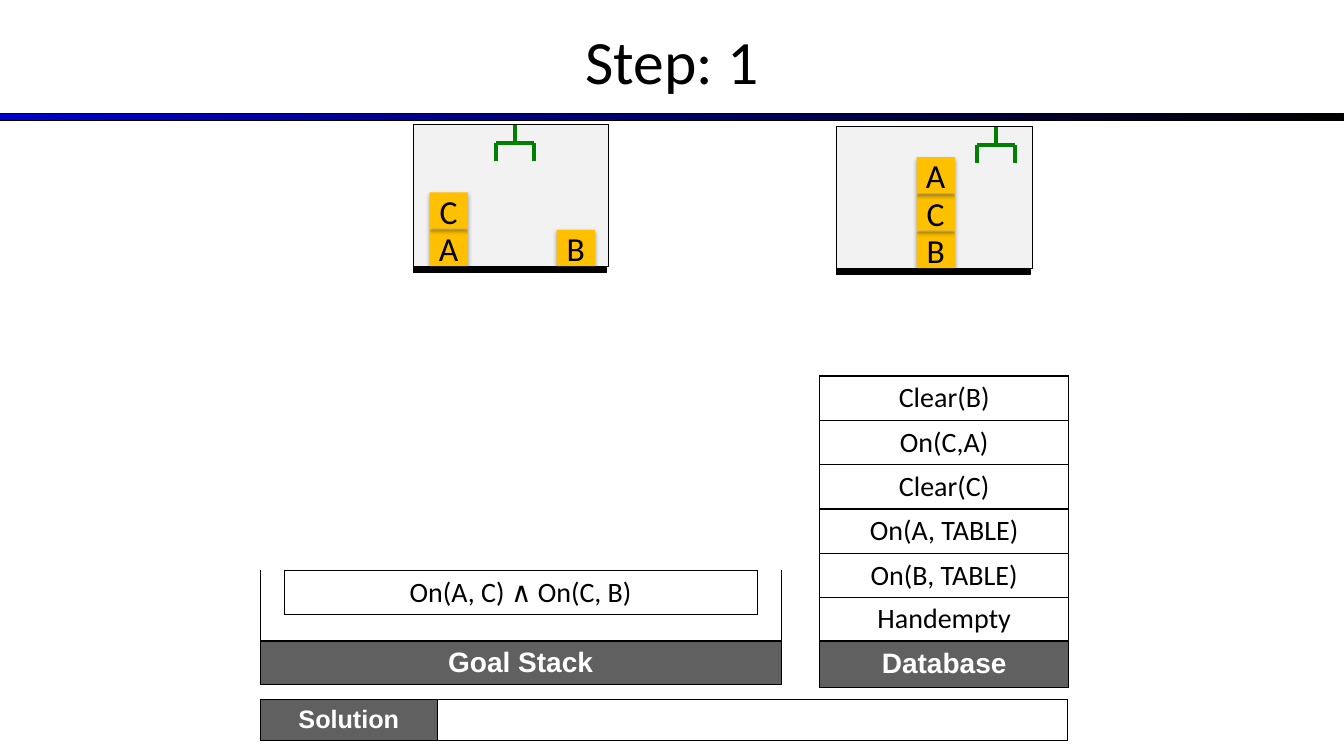
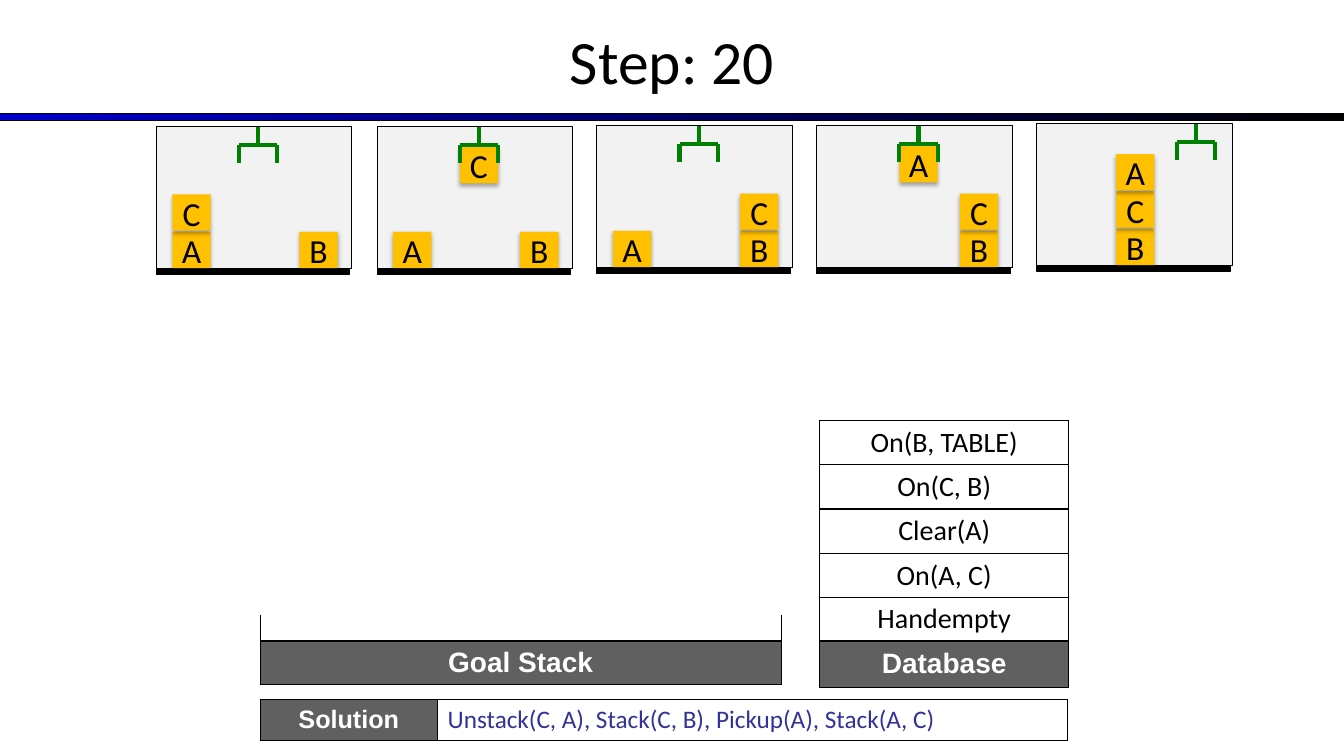
from dataclasses import dataclass

from lxml import etree
from pptx import Presentation
from pptx.dml.color import RGBColor
from pptx.enum.shapes import MSO_CONNECTOR, MSO_SHAPE
from pptx.enum.text import MSO_ANCHOR, PP_ALIGN
from pptx.oxml.ns import qn
from pptx.util import Inches, Pt

RECTANGLE = MSO_SHAPE.RECTANGLE
STRAIGHT = MSO_CONNECTOR.STRAIGHT
MIDDLE = MSO_ANCHOR.MIDDLE
CENTER, LEFT = PP_ALIGN.CENTER, PP_ALIGN.LEFT

BLACK = RGBColor(0x00, 0x00, 0x00)
WHITE = RGBColor(0xFF, 0xFF, 0xFF)
BAND_BLUE = RGBColor(0x00, 0x00, 0xCC)
HEADER_GREY = RGBColor(0x60, 0x60, 0x60)
SCENE_GREY = RGBColor(0xF2, 0xF2, 0xF2)
BLOCK_AMBER = RGBColor(0xFF, 0xC0, 0x00)
GRIPPER_GREEN = RGBColor(0x00, 0x80, 0x00)
PLAN_BLUE = RGBColor(0x33, 0x32, 0x99)

SLIDE_WIDTH, SLIDE_HEIGHT = 13.33, 7.5


@dataclass
class TextStyle:
    size: int
    font: str = "Calibri"
    color: RGBColor = BLACK
    bold: bool = False


TITLE = TextStyle(44)
BLOCK_LABEL = TextStyle(24)
FACT = TextStyle(20)
HEADER = TextStyle(20, "Arial", WHITE, True)
SOLUTION_HEADER = TextStyle(18, "Arial", WHITE, True)
PLAN = TextStyle(18, color=PLAN_BLUE)

# Block places inside a scene, relative to its top left corner
BLOCK_WIDTH, BLOCK_HEIGHT = 0.38, 0.36
LEFT_X, MIDDLE_X, RIGHT_X, HELD_X = 0.16, 0.79, 1.42, 0.82
FLOOR_Y, LEVEL_STEP, HELD_Y = 1.04, 0.37, 0.2
GRIPPER_CENTER, GRIPPER_ASIDE = 1.01, 1.58


def stack(x, letters):
    """Blocks from the floor up, as (letter, x, y)."""
    return [(letter, x, FLOOR_Y - level * LEVEL_STEP)
            for level, letter in enumerate(letters)]


def held(letter):
    return [(letter, HELD_X, HELD_Y)]


START_STATE = (stack(LEFT_X, "AC") + stack(RIGHT_X, "B"), GRIPPER_CENTER)
C_HELD = (stack(LEFT_X, "A") + stack(RIGHT_X, "B") + held("C"), GRIPPER_CENTER)
C_ON_B = (stack(LEFT_X, "A") + stack(RIGHT_X, "BC"), GRIPPER_CENTER)
A_HELD = (stack(RIGHT_X, "BC") + held("A"), GRIPPER_CENTER)
GOAL_STATE = (stack(MIDDLE_X, "BCA"), GRIPPER_ASIDE)


# Text and shapes
def write(paragraph, text, style, align=CENTER):
    paragraph.alignment = align
    run = paragraph.add_run()
    run.text = text
    run.font.name = style.font
    run.font.size = Pt(style.size)
    run.font.bold = style.bold
    run.font.color.rgb = style.color


def add_box(shapes, x, y, width, height, fill=None, outlined=True):
    box = shapes.add_shape(RECTANGLE, Inches(x), Inches(y), Inches(width), Inches(height))
    box.shadow.inherit = False
    if fill is not None:
        box.fill.solid()
        box.fill.fore_color.rgb = fill
    if outlined:
        box.line.color.rgb = BLACK
        box.line.width = Pt(0.75)
    else:
        box.line.fill.background()
    return box


def add_drop_shadow(box):
    effects = box._element.spPr.find(qn("a:effectLst"))
    shadow = etree.SubElement(effects, qn("a:outerShdw"), blurRad="39370",
                              dist="22860", dir="5400000", rotWithShape="0")
    color = etree.SubElement(shadow, qn("a:srgbClr"), val=str(BLACK))
    etree.SubElement(color, qn("a:alpha"), val="35000")


def add_title(slide, text):
    title = slide.shapes.add_textbox(0, 0, Inches(SLIDE_WIDTH), Inches(1.19))
    frame = title.text_frame
    frame.word_wrap = True
    frame.vertical_anchor = MIDDLE
    write(frame.paragraphs[0], text, TITLE)


def add_band(slide):
    band = add_box(slide.shapes, 0, 1.13, SLIDE_WIDTH, 0.07)
    band.fill.gradient()
    band.fill.gradient_angle = 0
    for stop, color, position in zip(band.fill.gradient_stops, (BAND_BLUE, BLACK), (0, 1)):
        stop.color.rgb = color
        stop.position = position


# Blocks-world scenes
def add_block(shapes, letter, x, y):
    block = add_box(shapes, x, y, BLOCK_WIDTH, BLOCK_HEIGHT, BLOCK_AMBER, outlined=False)
    add_drop_shadow(block)
    frame = block.text_frame
    frame.word_wrap = False
    frame.vertical_anchor = MIDDLE
    frame.margin_left = frame.margin_right = 0
    frame.margin_top = frame.margin_bottom = 0
    write(frame.paragraphs[0], letter, BLOCK_LABEL)


def add_gripper(shapes, center, top):
    left, right = center - 0.19, center + 0.19
    bar, tip = top + 0.18, top + 0.36
    for x1, y1, x2, y2 in ((left, bar, right, bar), (left, bar, left, tip),
                           (center, top, center, bar), (right, bar, right, tip)):
        line = shapes.add_connector(STRAIGHT, Inches(x1), Inches(y1), Inches(x2), Inches(y2))
        line.line.color.rgb = GRIPPER_GREEN
        line.line.width = Pt(3)
        etree.SubElement(line._element.spPr, qn("a:effectLst"))


def add_scene(slide, x, y, state):
    blocks, gripper_x = state
    shapes = slide.shapes.add_group_shape().shapes
    add_box(shapes, x, y, 1.94, 1.4, SCENE_GREY)
    add_box(shapes, x, y + 1.41, 1.92, 0.05, BLACK)
    for letter, block_x, block_y in blocks:
        add_block(shapes, letter, x + block_x, y + block_y)
    add_gripper(shapes, x + gripper_x, y)


# Tables
def add_grid(slide, x, y, columns, rows):
    table = slide.shapes.add_table(len(rows), len(columns), Inches(x), Inches(y),
                                   Inches(sum(columns)), Inches(sum(rows))).table
    table.first_row = table.horz_banding = False
    for column, width in zip(table.columns, columns):
        column.width = Inches(width)
    for row, height in zip(table.rows, rows):
        row.height = Inches(height)
    return table


def fill_cell(cell, text="", style=FACT, edges="LRTB", fill=None, align=CENTER):
    properties = cell._tc.get_or_add_tcPr()
    for edge in "LRTB":
        border = etree.SubElement(properties, qn(f"a:ln{edge}"), w=str(Pt(1)))
        if edge in edges:
            solid = etree.SubElement(border, qn("a:solidFill"))
            etree.SubElement(solid, qn("a:srgbClr"), val=str(BLACK))
        else:
            etree.SubElement(border, qn("a:noFill"))
    if fill is None:
        cell.fill.background()
    else:
        cell.fill.solid()
        cell.fill.fore_color.rgb = fill
    cell.vertical_anchor = MIDDLE
    paragraph = cell.text_frame.paragraphs[0]
    if text:
        write(paragraph, text, style, align)
    else:
        # Small empty text lets short rows keep their height
        etree.SubElement(paragraph._p, qn("a:endParaRPr"), sz="800")


def add_goal_stack(slide, goal):
    rows = [0.48] * 4 + [0.42, 0.44, 0.26, 0.42]
    table = add_grid(slide, 2.58, 3.32, [0.23, 4.69, 0.23], rows)
    edges = [("", "", "")] * 5 + [("", "", ""), ("LB", "B", "RB"), ("LTB", "TB", "RTB")]
    if goal:
        edges[4:7] = [("", "B", ""), ("LR", "LRTB", "LR"), ("LB", "TB", "RB")]
    labels = {(5, 1): (goal, FACT), (7, 1): ("Goal Stack", HEADER)}
    for row, row_edges in enumerate(edges):
        fill = HEADER_GREY if row == len(rows) - 1 else None
        for column, cell_edges in enumerate(row_edges):
            text, style = labels.get((row, column), ("", FACT))
            fill_cell(table.cell(row, column), text, style, cell_edges, fill)


def add_database(slide, facts):
    table = add_grid(slide, 8.13, 3.73, [2.47], [0.44] * 5 + [0.43, 0.46])
    empty_rows = 6 - len(facts)
    for row in range(empty_rows):
        fill_cell(table.cell(row, 0), edges="B" if row == empty_rows - 1 else "")
    for row, fact in enumerate(facts, empty_rows):
        fill_cell(table.cell(row, 0), fact)
    table.cell(5, 0).text_frame.paragraphs[0].line_spacing = 0.85
    fill_cell(table.cell(6, 0), "Database", HEADER, fill=HEADER_GREY)


def add_solution(slide, plan):
    table = add_grid(slide, 2.58, 6.94, [1.76, 6.25], [0.41])
    fill_cell(table.cell(0, 0), "Solution", SOLUTION_HEADER, fill=HEADER_GREY)
    fill_cell(table.cell(0, 1), plan, PLAN, align=LEFT)


def add_step(deck, number, goal, facts, plan, scenes):
    slide = deck.slides.add_slide(deck.slide_layouts[6])
    add_band(slide)
    add_title(slide, f"Step: {number}")
    add_goal_stack(slide, goal)
    add_database(slide, facts)
    add_solution(slide, plan)
    for x, y, state in scenes:
        add_scene(slide, x, y, state)


def main():
    deck = Presentation()
    deck.slide_width = Inches(SLIDE_WIDTH)
    deck.slide_height = Inches(SLIDE_HEIGHT)

    # First step: start and goal states
    add_step(
        deck, 1, "On(A, C) ∧ On(C, B)",
        ["Clear(B)", "On(C,A)", "Clear(C)", "On(A, TABLE)", "On(B, TABLE)", "Handempty"],
        "",
        [(4.1, 1.24, START_STATE), (8.3, 1.26, GOAL_STATE)])

    # Last step: every state along the plan
    add_step(
        deck, 20, "",
        ["On(B, TABLE)", "On(C, B)", "Clear(A)", "On(A, C)", "Handempty"],
        "Unstack(C, A), Stack(C, B), Pickup(A), Stack(A, C)",
        [(1.55, 1.26, START_STATE), (3.74, 1.26, C_HELD), (5.92, 1.25, C_ON_B),
         (8.1, 1.25, A_HELD), (10.28, 1.23, GOAL_STATE)])

    deck.save("out.pptx")


if __name__ == "__main__":
    main()
